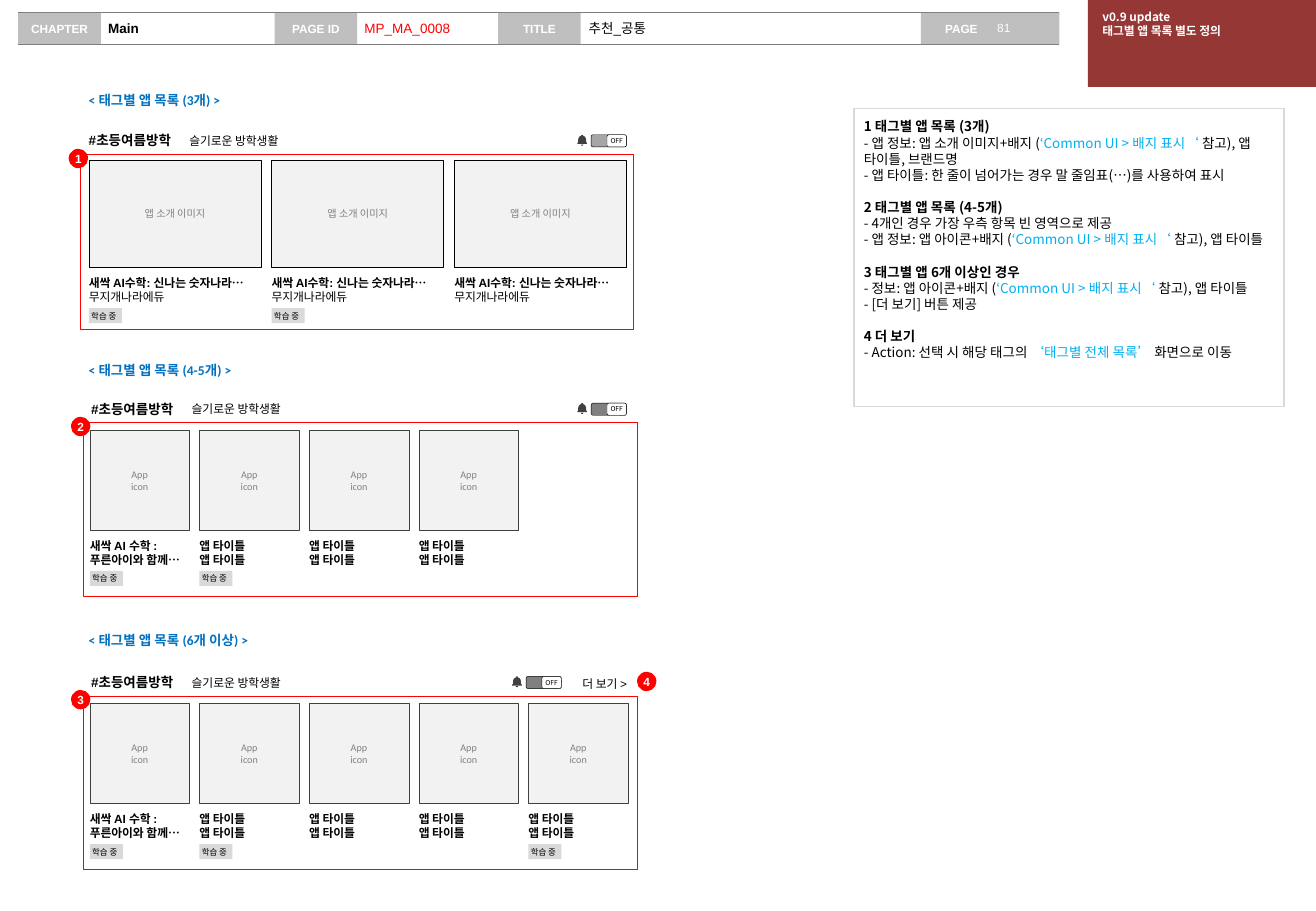
from lxml import etree
from pptx import Presentation
from pptx.dml.color import RGBColor
from pptx.enum.shapes import MSO_CONNECTOR, MSO_SHAPE
from pptx.enum.text import MSO_ANCHOR, PP_ALIGN
from pptx.oxml.ns import qn
from pptx.util import Pt

RECT, ROUND, OVAL = MSO_SHAPE.RECTANGLE, MSO_SHAPE.ROUNDED_RECTANGLE, MSO_SHAPE.OVAL
LEFT, MID, RIGHT = PP_ALIGN.LEFT, PP_ALIGN.CENTER, PP_ALIGN.RIGHT
TOP, CENTER = MSO_ANCHOR.TOP, MSO_ANCHOR.MIDDLE
STRAIGHT = MSO_CONNECTOR.STRAIGHT
BLACK = RGBColor(0x00, 0x00, 0x00)
WHITE = RGBColor(0xFF, 0xFF, 0xFF)
RED = RGBColor(0xFF, 0x00, 0x00)
WINE = RGBColor(0x95, 0x37, 0x35)
BLUE = RGBColor(0x00, 0x70, 0xC0)
SKY = RGBColor(0x00, 0xB0, 0xF0)
DARK = RGBColor(0x40, 0x40, 0x40)
RULE = RGBColor(0x7F, 0x7F, 0x7F)
GRAY = RGBColor(0x80, 0x80, 0x80)
SOFT = RGBColor(0xA6, 0xA6, 0xA6)
BAR = RGBColor(0xBF, 0xBF, 0xBF)
PALE = RGBColor(0xD9, 0xD9, 0xD9)
MIST = RGBColor(0xF2, 0xF2, 0xF2)
NOTO = "Noto Sans CJK KR"
BELL = [(0, 54), (0, 49), (5, 43), (5, 29), (8, 17), (14, 10), (22, 6), (25, 0), (32, 0),
        (35, 6), (43, 10), (49, 17), (52, 29), (52, 43), (57, 49), (57, 54)]
TONGUE = [(21, 58), (36, 58), (33, 64), (24, 64)]
LINK = ("‘Common UI > 배지 표시‘ ", SKY)
NOTES = [
    "1 태그별 앱 목록 (3개)",
    [("- 앱 정보: 앱 소개 이미지+배지 (", BLACK), LINK, ("참고), 앱 타이틀, 브랜드명", BLACK)],
    "- 앱 타이틀: 한 줄이 넘어가는 경우 말 줄임표(…)를 사용하여 표시",
    "2 태그별 앱 목록 (4-5개)",
    "- 4개인 경우 가장 우측 항목 빈 영역으로 제공",
    [("- 앱 정보: 앱 아이콘+배지 (", BLACK), LINK, ("참고), 앱 타이틀", BLACK)],
    "3 태그별 앱 6개 이상인 경우",
    [("- 정보: 앱 아이콘+배지 (", BLACK), LINK, ("참고), 앱 타이틀", BLACK)],
    "- [더 보기] 버튼 제공",
    "4 더 보기",
    [("- Action: 선택 시 해당 태그의 ", BLACK), ("‘태그별 전체 목록’ ", SKY), ("화면으로 이동", BLACK)],
]


class Board:
    """Draws the parts of an app list wireframe on one slide."""

    def __init__(self, slide):
        self.shapes = slide.shapes

    def fill_in(self, shape, paras, size, color=BLACK, bold=False, face="Arial", align=LEFT,
                anchor=CENTER, inset=(0, 0), wrap=False, lead=None):
        frame = shape.text_frame
        frame.word_wrap = wrap
        frame.vertical_anchor = anchor
        frame.margin_left = frame.margin_right = Pt(inset[0])
        frame.margin_top = frame.margin_bottom = Pt(inset[1])
        for i, para in enumerate(paras):
            p = frame.paragraphs[0] if i == 0 else frame.add_paragraph()
            p.alignment = align
            if lead:
                p.line_spacing = Pt(lead)
            font = p.font
            font.size, font.bold, font.name = Pt(size), bold, face
            font.color.rgb = color
            etree.SubElement(p._p.pPr.find(qn("a:defRPr")), qn("a:ea"), typeface=NOTO)
            if isinstance(para, str):
                p.add_run().text = para
                continue
            for text, tint in para:
                run = p.add_run()
                run.text = text
                run.font.color.rgb = tint
        return frame

    def text(self, x, y, w, h, paras, size, **style):
        box = self.shapes.add_textbox(Pt(x), Pt(y), Pt(w), Pt(h))
        return self.fill_in(box, paras, size, **style)

    def paint(self, shape, fill=None, line=None, width=0.25):
        shape.shadow.inherit = False
        if fill is None:
            shape.fill.background()
        else:
            shape.fill.solid()
            shape.fill.fore_color.rgb = fill
        if line is None:
            shape.line.fill.background()
        else:
            shape.line.color.rgb = line
            shape.line.width = Pt(width)
        return shape

    def box(self, x, y, w, h, fill=None, line=None, width=0.25, kind=RECT):
        shape = self.shapes.add_shape(kind, Pt(x), Pt(y), Pt(w), Pt(h))
        return self.paint(shape, fill, line, width)

    def rule(self, x, y, end):
        line = self.shapes.add_connector(STRAIGHT, Pt(x), Pt(y), Pt(end), Pt(y))
        line.line.color.rgb = RULE
        line.line.width = Pt(0.75)
        etree.SubElement(line._element.spPr, qn("a:effectLst"))

    def label(self, x, w, word, align=MID, pad=7.2):
        bar = self.box(x, 7.2, w, 19.2, BAR)
        self.fill_in(bar, [word], 7, color=WHITE, bold=True, align=align, inset=(pad, 3.6))

    def field(self, x, w, word, **style):
        self.text(x, 7.9, w, 17.3, [word], 8, inset=(4.3, 3.6), **style)

    def bell(self, x, y):
        pen = self.shapes.build_freeform(*BELL[0], scale=Pt(0.1))
        pen.add_line_segments(BELL[1:])
        pen.move_to(*TONGUE[0])
        pen.add_line_segments(TONGUE[1:])
        self.paint(pen.convert_to_shape(Pt(x), Pt(y)), DARK)

    def head(self, name, top, x, y, knob, fill):
        self.text(52.6, top, 155.5, 13, [name], 8, color=BLUE, bold=True, face="Calibri")
        self.text(x, y, 53.3, 9.4, ["#초등여름방학"], 8, bold=True)
        self.text(x + 59.6, y + 0.6, 59, 8.6, ["슬기로운 방학생활"], 7)
        self.bell(knob - 8.2, y + 1.4)
        self.box(knob, y + 1.4, 20.9, 7.2, fill, BLACK, kind=ROUND)
        off = self.box(knob + 9.4, y + 1.4, 11.5, 7.2, WHITE, BLACK, kind=ROUND)
        self.fill_in(off, ["OFF"], 4, face=NOTO, align=MID)

    def card(self, x, y, w, h, words, line, title, bold_all, badge):
        pic = self.box(x, y, w, h, MIST, line)
        self.fill_in(pic, words, 6, color=GRAY, face="Calibri", align=MID, lead=7.1)
        frame = self.text(x, y + h + 4.9, w, 17.3, title, 7, bold=True, lead=8.3)
        frame.paragraphs[1].font.bold = bold_all
        if badge:
            tag = self.box(x, y + h + 24.3, 19.6, 8.9, PALE)
            self.fill_in(tag, ["학습 중"], 5, inset=(1.4, 0))

    def dot(self, x, y, digit):
        disc = self.box(x, y, 11.5, 11.5, RED, kind=OVAL)
        self.fill_in(disc, [digit], 7, color=WHITE, bold=True, align=MID)

    def icons(self, y, count, badges):
        for i in range(count):
            title = ["앱 타이틀"] * 2 if i else ["새싹 AI 수학 :", "푸른아이와 함께…"]
            self.card(53.2 + i * 65, y + 4.5, 59.1, 59.1, ["App", "icon"], DARK,
                      title, True, i in badges)
        self.box(49.2, y, 328.3, 103, line=RED)

    def notes(self):
        box = self.box(506.2, 64.5, 254.9, 176.6, line=PALE, width=0.75)
        frame = self.fill_in(box, NOTES, 8, face=NOTO, anchor=TOP, inset=(5.8, 5.8),
                             wrap=True, lead=9.55)
        for i, p in enumerate(frame.paragraphs):
            if p.text[0].isdigit():
                p.font.bold = True
                p.space_before = Pt(9.55 if i else 0)


def main():
    deck = Presentation()
    deck.slide_width, deck.slide_height = Pt(780), Pt(540)
    board = Board(deck.slides.add_slide(deck.slide_layouts[6]))

    board.label(545.8, 82.1, "PAGE", LEFT, 14.4)
    board.text(588.2, 8.6, 39.6, 15.8, ["81"], 7, color=WHITE, inset=(2.9, 3.6))
    for x, word in ((10.8, "CHAPTER"), (162.7, "PAGE ID"), (295.2, "TITLE")):
        board.label(x, 49, word)
    for y in (7.2, 26.2):
        board.rule(10.4, y, 627.8)
    board.field(59.8, 103, "Main", bold=True)
    board.field(344.6, 201.6, "추천_공통")
    board.field(211.7, 83.5, "MP_MA_0008", color=RED)
    flag = board.box(644.8, 0, 135.2, 51.6, WINE)
    board.fill_in(flag, ["v0.9 update", "태그별 앱 목록 별도 정의"], 7, color=WHITE, bold=True,
                  face=NOTO, anchor=TOP, inset=(8.6, 5.8), lead=8.2)

    board.head("< 태그별 앱 목록 (3개) >", 53.1, 52.6, 78.5, 350.4, SOFT)
    for i in range(3):
        board.card(52.7 + i * 108.3, 95, 102, 63.4, ["앱 소개 이미지"], BLACK,
                   ["새싹 AI수학: 신나는 숫자나라…", "무지개나라에듀"], False, i < 2)
    board.box(47.5, 91.4, 327.6, 103.7, line=RED)
    board.dot(40.7, 88.2, "1")

    board.head("< 태그별 앱 목록 (4-5개) >", 213.1, 54, 237.6, 350.4, GRAY)
    board.icons(250.5, 4, (0, 1))
    board.dot(42.1, 247.1, "2")

    board.head("< 태그별 앱 목록 (6개 이상) >", 373, 54, 399.6, 311.8, GRAY)
    board.text(340.6, 401, 31, 8.6, ["더 보기 >"], 7, align=RIGHT)
    board.icons(412.5, 5, (0, 1, 4))
    board.dot(42.1, 409, "3")
    board.dot(377.6, 398.2, "4")

    board.notes()
    deck.save("out.pptx")


if __name__ == "__main__":
    main()
